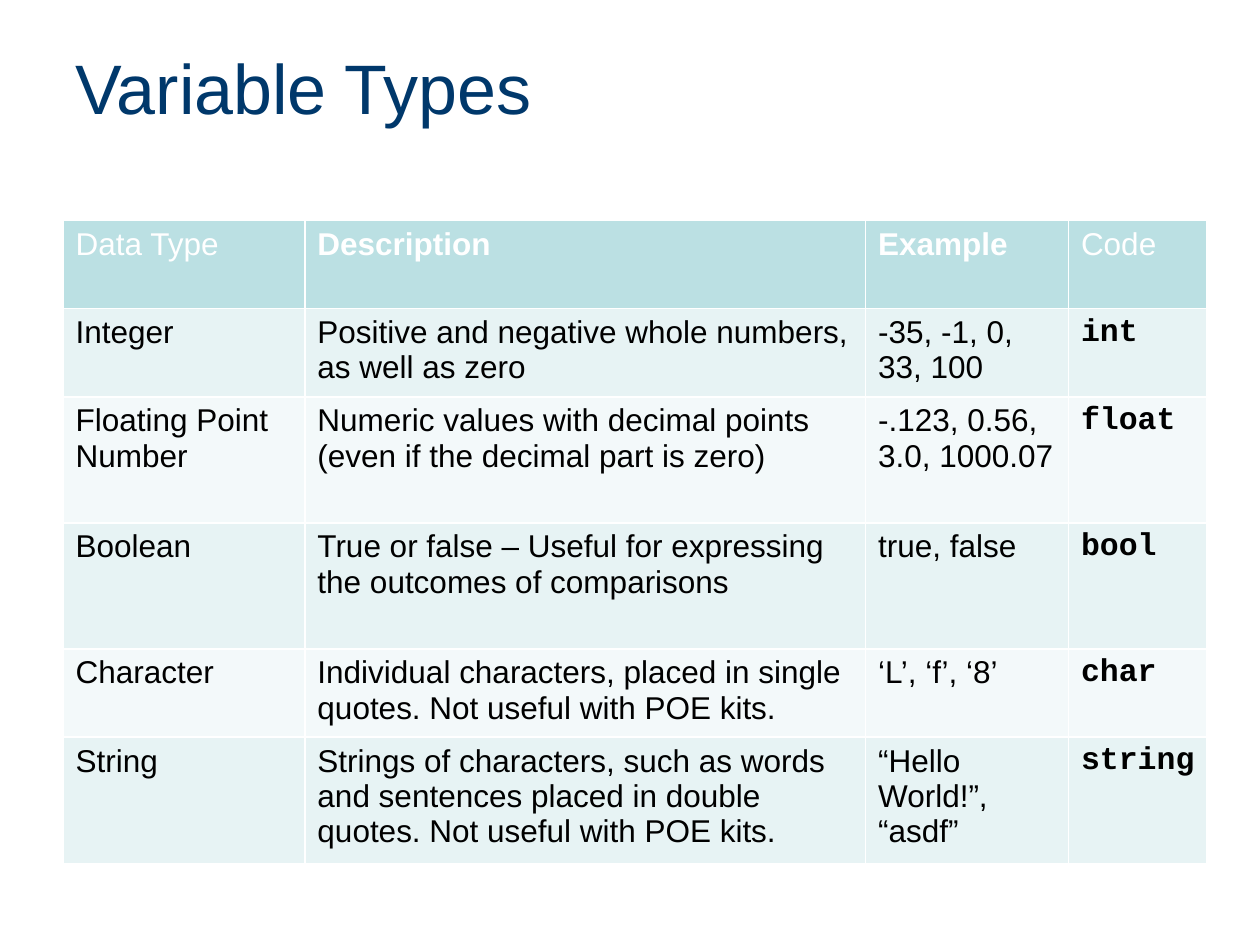
import pptx
import pptx.dml.color
import pptx.enum.text
import pptx.oxml
import pptx.oxml.ns
import pptx.util
from pptx.util import Inches

RGBColor = pptx.dml.color.RGBColor
NAVY = RGBColor(0x00, 0x38, 0x6B)
WHITE = RGBColor(0xFF, 0xFF, 0xFF)
BLACK = RGBColor(0x00, 0x00, 0x00)
HEADER_FILL = RGBColor(0xBB, 0xE0, 0xE3)
BAND_FILLS = (RGBColor(0xE7, 0xF3, 0xF4), RGBColor(0xF3, 0xF9, 0xFA))

BODY_FONT = "Arial"
CODE_FONT = "Courier New"

COLUMN_WIDTHS = (1.92, 4.45, 1.61, 1.1)
ROW_HEIGHTS = (0.7, 0.7, 1, 1, 0.7, 1)
HEADINGS = ("Data Type", "Description", "Example", "Code")
BOLD_HEADINGS = ("Description", "Example")
VARIABLE_TYPES = (
    ("Integer", "Positive and negative whole numbers, as well as zero",
     "-35, -1, 0, 33, 100", "int"),
    ("Floating Point Number",
     "Numeric values with decimal points (even if the decimal part is zero)",
     "-.123, 0.56, 3.0, 1000.07", "float"),
    ("Boolean",
     "True or false – Useful for expressing the outcomes of comparisons",
     "true, false", "bool"),
    ("Character",
     "Individual characters, placed in single quotes. Not useful with POE kits.",
     "‘L’, ‘f’, ‘8’", "char"),
    ("String",
     "Strings of characters, such as words and sentences placed in double "
     "quotes. Not useful with POE kits.",
     "“Hello World!”, “asdf”", "string"),
)


def write_text(frame, text, size, color, name=BODY_FONT, bold=False):
    paragraph = frame.paragraphs[0]
    paragraph.text = text
    font = paragraph.font
    font.name = name
    font.size = pptx.util.Pt(size)
    font.bold = bold
    font.color.rgb = color


def add_title(slide, text):
    title = slide.shapes.add_textbox(Inches(0.5), Inches(0.3), Inches(9), Inches(0.78))
    frame = title.text_frame
    frame.word_wrap = True
    frame.vertical_anchor = pptx.enum.text.MSO_ANCHOR.MIDDLE
    write_text(frame, text, 40, NAVY)


def add_borders(cell, color, width):
    """Line all four sides; call before the fill, which must follow in the XML."""
    properties = cell._tc.get_or_add_tcPr()
    for side in ("L", "R", "T", "B"):
        properties.append(pptx.oxml.parse_xml(
            f'<a:ln{side} {pptx.oxml.ns.nsdecls("a")} w="{pptx.util.Pt(width)}">'
            f'<a:solidFill><a:srgbClr val="{color}"/></a:solidFill></a:ln{side}>'))


def fill_cell(cell, text, fill, color, **font):
    add_borders(cell, WHITE, 1)
    cell.fill.solid()
    cell.fill.fore_color.rgb = fill
    write_text(cell.text_frame, text, 18, color, **font)


def add_types_table(slide):
    table = slide.shapes.add_table(
        len(ROW_HEIGHTS), len(COLUMN_WIDTHS), Inches(0.5), Inches(1.75),
        Inches(sum(COLUMN_WIDTHS)), Inches(sum(ROW_HEIGHTS))).table
    for column, width in zip(table.columns, COLUMN_WIDTHS):
        column.width = Inches(width)
    for row, height in zip(table.rows, ROW_HEIGHTS):
        row.height = Inches(height)

    for column, heading in enumerate(HEADINGS):
        fill_cell(table.cell(0, column), heading, HEADER_FILL, WHITE,
                  bold=heading in BOLD_HEADINGS)
    for index, (*descriptions, code) in enumerate(VARIABLE_TYPES):
        fill = BAND_FILLS[index % 2]
        for column, text in enumerate(descriptions):
            fill_cell(table.cell(index + 1, column), text, fill, BLACK)
        fill_cell(table.cell(index + 1, len(descriptions)), code, fill, BLACK,
                  name=CODE_FONT, bold=True)


def main():
    presentation = pptx.Presentation()
    presentation.slide_width = Inches(10)
    presentation.slide_height = Inches(7.5)
    slide = presentation.slides.add_slide(presentation.slide_layouts[6])
    add_title(slide, "Variable Types")
    add_types_table(slide)
    presentation.save("out.pptx")


if __name__ == "__main__":
    main()
